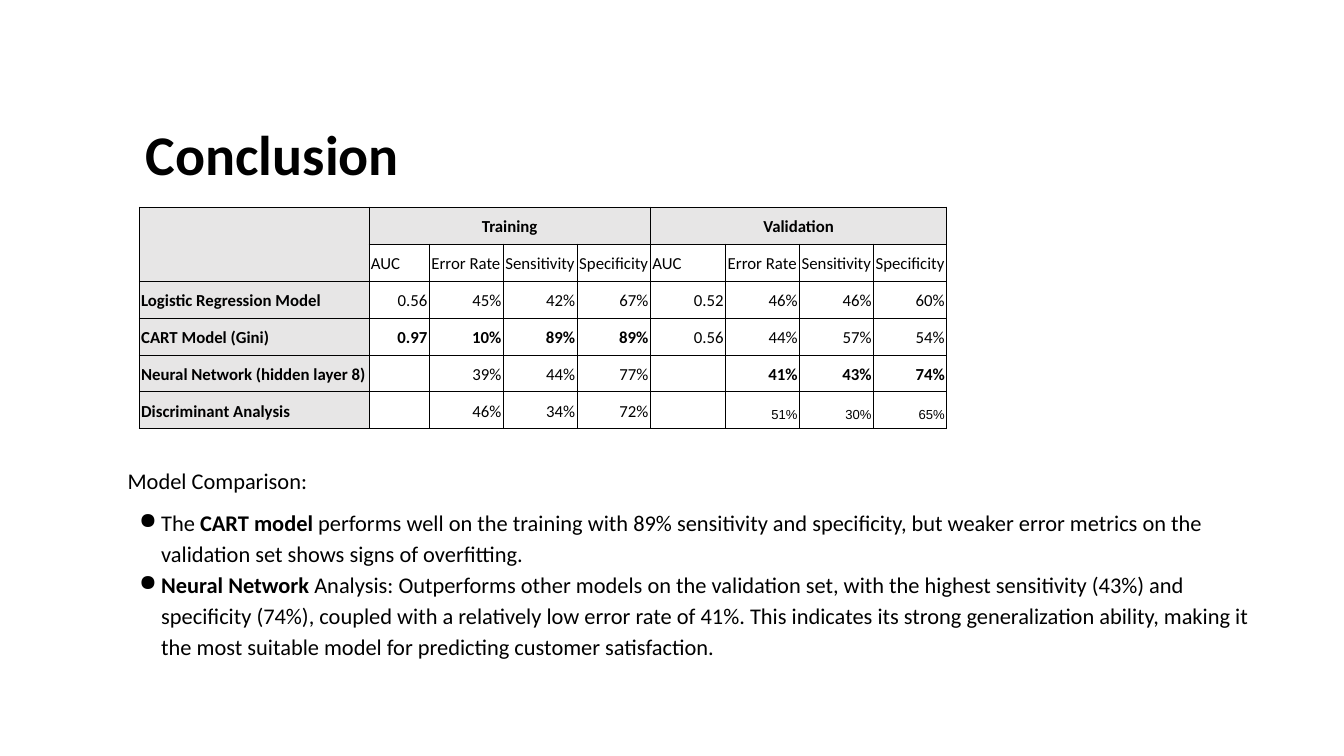
import pptx
import pptx.util
import pptx.dml.color
import pptx.enum.text
import pptx.oxml
from pptx.oxml.ns import nsdecls, qn

ALIGN = pptx.enum.text.PP_ALIGN
ANCHOR = pptx.enum.text.MSO_ANCHOR


def rgb(value):
    return pptx.dml.color.RGBColor.from_string(value)


class Deck:
    """Style and current slide; lengths are percentages of the slide's size."""

    FONT = "Calibri"
    INK = "000000"
    SHADE = "E7E6E6"
    SPACING = 1.15

    def __init__(self, width, height):
        self.prs = pptx.Presentation()
        self.prs.slide_width = pptx.util.Inches(width)
        self.prs.slide_height = pptx.util.Inches(height)
        self.s = self.prs.slides.add_slide(self.prs.slide_layouts[5])

    def x(self, share):
        return round(self.prs.slide_width * share / 100)

    def y(self, share):
        return round(self.prs.slide_height * share / 100)

    def box(self, left, top, width, height):
        return self.x(left), self.y(top), self.x(width), self.y(height)

    def style(self, p, size, bold=None, align=ALIGN.LEFT, font=FONT, spacing=SPACING):
        p.alignment = align
        p.line_spacing = spacing
        p.font.name = font
        p.font.size = pptx.util.Pt(size)
        p.font.bold = bold
        p.font.color.rgb = rgb(self.INK)

    def title(self, text, *box):
        sp = self.s.shapes.title
        sp.left, sp.top, sp.width, sp.height = self.box(*box)
        tf = sp.text_frame
        tf.text = text
        tf.auto_size = pptx.enum.text.MSO_AUTO_SIZE.NONE
        tf.vertical_anchor = ANCHOR.MIDDLE
        self.style(tf.paragraphs[0], 60, bold=True, spacing=1.0)

    def bullet(self, p):
        pPr = p._p.get_or_add_pPr()
        pPr.set("marL", str(pptx.util.Inches(0.5)))
        pPr.set("indent", str(-pptx.util.Inches(0.33)))
        for xml in (f'<a:buClr {nsdecls("a")}><a:srgbClr val="{self.INK}"/></a:buClr>',
                    f'<a:buChar {nsdecls("a")} char="●"/>'):
            pPr.insert_element_before(pptx.oxml.parse_xml(xml), "a:tabLst", "a:defRPr")

    def text(self, paragraphs, *box):
        """Each paragraph: bulleted, space before, [(text, bold), ...]."""
        tf = self.s.shapes.add_textbox(*self.box(*box)).text_frame
        tf.word_wrap = True
        tf.margin_top = tf.margin_bottom = pptx.util.Inches(0.1)
        for i, (bulleted, before, runs) in enumerate(paragraphs):
            p = tf.add_paragraph() if i else tf.paragraphs[0]
            self.style(p, 24)
            p.space_before = pptx.util.Pt(before)
            if bulleted:
                self.bullet(p)
            for words, bold in runs:
                r = p.add_run()
                r.text = words
                r.font.bold = bold

    def border(self, cell):
        tcPr = cell._tc.get_or_add_tcPr()
        for side in ("lnL", "lnR", "lnT", "lnB"):
            tcPr.append(pptx.oxml.parse_xml(
                f'<a:{side} {nsdecls("a")} w="{pptx.util.Pt(0.75)}"><a:solidFill>'
                f'<a:srgbClr val="{self.INK}"/></a:solidFill></a:{side}>'))

    def table(self, left, top, columns, row, rows):
        """Two header rows, then one label and its figures per row."""
        frame = self.s.shapes.add_table(len(rows), len(columns), *self.box(
            left, top, sum(columns), row * len(rows)))
        tbl = frame.table
        tbl.first_row = tbl.horz_banding = False
        for column, width in zip(tbl.columns, columns):
            column.width = self.x(width)
        for i, values in enumerate(rows):
            tbl.rows[i].height = self.y(row)
            for j, value in enumerate(values):
                cell = tbl.cell(i, j)
                self.border(cell)
                if i == 0 or j == 0:
                    cell.fill.solid()
                    cell.fill.fore_color.rgb = rgb(self.SHADE)
                else:
                    cell.fill.background()
                cell.vertical_anchor = ANCHOR.BOTTOM
                cell.margin_left = cell.margin_right = pptx.util.Inches(0.03)
                cell.margin_top = cell.margin_bottom = pptx.util.Inches(0.1)
                cell.text = value
                bold = i == 0 or j == 0 or (i, j) in BEST
                align = (ALIGN.CENTER if i == 0 else
                         ALIGN.RIGHT if i > 1 and j > 0 else ALIGN.LEFT)
                p = cell.text_frame.paragraphs[0]
                if (i, j) in SMALL:
                    self.style(p, 14, bold, align, font="Arial", spacing=1.0)
                else:
                    self.style(p, 18, bold, align)
        return tbl


METRICS = ["AUC", "Error Rate", "Sensitivity", "Specificity"]
ROWS = [
    ["", "Training", "", "", "", "Validation", "", "", ""],
    [""] + METRICS * 2,
    ["Logistic Regression Model", "0.56", "45%", "42%", "67%", "0.52", "46%", "46%", "60%"],
    ["CART Model (Gini)", "0.97", "10%", "89%", "89%", "0.56", "44%", "57%", "54%"],
    ["Neural Network (hidden layer 8)", "", "39%", "44%", "77%", "", "41%", "43%", "74%"],
    ["Discriminant Analysis", "", "46%", "34%", "72%", "", "51%", "30%", "65%"],
]
BEST = {(3, j) for j in range(1, 5)} | {(4, j) for j in range(6, 9)}
SMALL = {(5, j) for j in range(6, 9)}

COMPARISON = [
    (False, 12, [("Model Comparison:", False)]),
    (True, 12, [
        ("The ", False), ("CART model ", True),
        ("performs well on the training with 89% sensitivity and specificity, but weaker "
         "error metrics on the validation set shows signs of overfitting.", False)]),
    (True, 0, [
        ("Neural Network", True),
        (" Analysis: Outperforms other models on the validation set, with the highest "
         "sensitivity (43%) and specificity (74%), coupled with a relatively low error rate "
         "of 41%. This indicates its strong generalization ability, making it the most "
         "suitable model for predicting customer satisfaction.", False)]),
]


def main():
    deck = Deck(20, 11.25)

    # Title
    deck.title("Conclusion", 10.35, 13.07, 32.4, 14.31)

    # Model comparison text
    deck.text(COMPARISON, 9, 60.36, 85.6, 29.51)

    # Results table with merged headers
    tbl = deck.table(10.35, 27.38, [17.1, 4.5, 5.5, 5.5, 5.45, 5.6, 5.5, 5.5, 5.45],
                     4.89, ROWS)
    tbl.cell(0, 0).merge(tbl.cell(1, 0))
    for first in (1, 5):
        tbl.cell(0, first).merge(tbl.cell(0, first + 3))

    deck.prs.save("out.pptx")


if __name__ == "__main__":
    main()
